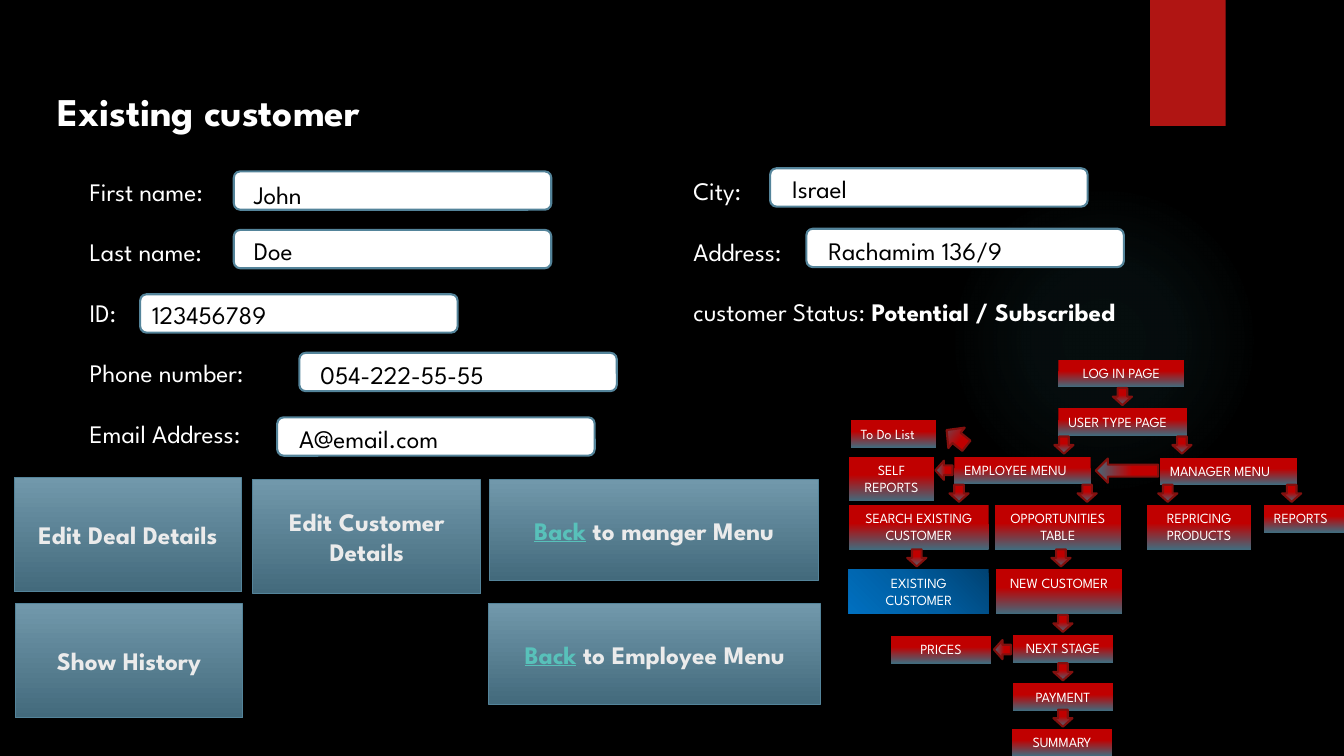
import pptx
import pptx.util
import pptx.dml.color
import pptx.enum.shapes
import pptx.enum.text
import pptx.oxml
import pptx.oxml.ns

Pt = pptx.util.Pt
SHAPE = pptx.enum.shapes.MSO_SHAPE
ALIGN = pptx.enum.text.PP_ALIGN
ANCHOR = pptx.enum.text.MSO_ANCHOR

# Content: runs are (text, colour, bold, underlined); lengths in points
FONT = "League Spartan"
WHITE, BLACK, PALE, TEAL = "FFFFFF", "000000", "EBEBEB", "58C1BA"
STEEL_LINE, ARROW_LINE = "54849A", "82100E"
STEEL = [(0, "7198AB"), (100, "436A7C")]
RED = [(41, "C00000"), (100, "436A7C")]
BLUE = [(0, "004272"), (50, "005EA2"), (100, "0070C0")]
GLOW = [(0, "50B9C1", 7), (36, "50B9C1", 6), (69, "50B9C1", 0)]

LEFT_LABELS = ["First name:", "Last name:", "ID:", "Phone number:", "Email Address:"]
RIGHT_LABELS = ["City:", "Address:"]
STATUS = [("customer Status: ", WHITE, False, False),
          ("Potential / Subscribed", WHITE, True, False)]

# Value, field left and top, text left and top
FIELDS = [
    ("John", 167, 122.4, 174.2, 124.6),
    ("Doe", 167, 164.2, 174.2, 164.2),
    ("123456789", 100.1, 210.2, 101.5, 210.2),
    ("054-222-55-55", 213.8, 252, 221.8, 253.4),
    ("A@email.com", 198, 298.1, 206.6, 298.8),
    ("Israel", 550.1, 120.2, 558.7, 120.2),
    ("Rachamim 136/9", 576, 163.4, 584.6, 164.2),
]

# Link word, label, left, top, width, height
BUTTONS = [
    ("", "Edit Customer Details", 180.7, 342.7, 162.7, 81.4),
    ("", "Show History", 10.8, 431.3, 162.7, 81.4),
    ("", "Edit Deal Details", 10.1, 341.3, 162.7, 81.4),
    ("Back", " to manger Menu", 349.9, 342.7, 234.7, 72),
    ("Back", " to Employee Menu", 349.2, 431.3, 236.9, 72),
]

# Site map: label, left, top, width, number of lines, alignment
PAGES = [
    ("LOG IN PAGE", 756, 257, 90, 1, ALIGN.CENTER),
    ("USER TYPE PAGE", 756, 291.6, 92.2, 1, ALIGN.LEFT),
    ("To Do List", 607.7, 300.2, 61.2, 1, ALIGN.LEFT),
    ("SELF REPORTS", 606.2, 326.2, 61.2, 2, ALIGN.CENTER),
    ("EMPLOYEE MENU", 681.8, 326.2, 97.2, 1, ALIGN.LEFT),
    ("MANAGER MENU", 828.7, 326.9, 97.9, 1, ALIGN.LEFT),
    ("SEARCH EXISTING CUSTOMER", 606.2, 360.7, 100.1, 2, ALIGN.CENTER),
    ("OPPORTUNITIES TABLE", 710.6, 360.7, 90, 2, ALIGN.CENTER),
    ("REPRICING PRODUCTS", 819.4, 360.7, 74.2, 2, ALIGN.CENTER),
    ("REPORTS", 902.9, 360.7, 57.6, 1, ALIGN.LEFT),
    ("EXISTING CUSTOMER", 606.2, 406.8, 100.1, 2, ALIGN.CENTER),
    ("NEW CUSTOMER", 711.4, 406.8, 90, 2, ALIGN.CENTER),
    ("PRICES", 636.5, 454.3, 71.3, 1, ALIGN.CENTER),
    ("NEXT STAGE", 723.6, 453.6, 71.3, 1, ALIGN.CENTER),
    ("PAYMENT", 723.6, 488.2, 71.3, 1, ALIGN.CENTER),
    ("SUMMARY", 722.9, 520.6, 71.3, 1, ALIGN.CENTER),
]
CURRENT_PAGE = "EXISTING CUSTOMER"
PAGE_HEIGHT = {1: 19.4, 2: 31.7}

# Small arrows: left, top, rotation
SMALL_ARROWS = [
    (794.9, 277.2, 0), (753.1, 311.8, 0), (837.4, 311.8, 0),
    (827.3, 346.3, 0), (915.8, 346.3, 0), (769.7, 346.3, 0), (678.2, 346.3, 0),
    (751, 392.4, 0), (648, 392.4, 0), (752.4, 439.2, 0),
    (752.4, 506.9, 0), (752.4, 473.8, 0), (667.4, 329.8, 90), (709.2, 457.9, 90),
]
ARROWS = [(left, top, 13.7, 12.2, turn) for left, top, turn in SMALL_ARROWS]
ARROWS += [(796.3, 313.9, 17.3, 44.6, 90), (673.9, 303.8, 18.7, 18, 128.6)]


def colour(value):
    return pptx.dml.color.RGBColor.from_string(value)


def gradient(shape, stops, angle=None):
    """Linear at the given angle, or circular from the centre without one."""
    marks = ""
    for position, value, *alpha in stops:
        opacity = f'<a:alpha val="{alpha[0] * 1000}"/>' if alpha else ""
        marks += (f'<a:gs pos="{position * 1000}">'
                  f'<a:srgbClr val="{value}">{opacity}</a:srgbClr></a:gs>')
    if angle is None:
        course = ('<a:path path="circle"><a:fillToRect l="50000" t="50000" '
                  'r="50000" b="50000"/></a:path>')
    else:
        course = f'<a:lin ang="{angle * 60000}" scaled="0"/>'
    fill = pptx.oxml.parse_xml(
        f'<a:gradFill {pptx.oxml.ns.nsdecls("a")} rotWithShape="1">'
        f'<a:gsLst>{marks}</a:gsLst>{course}</a:gradFill>')
    properties = shape.element.spPr
    properties.find(pptx.oxml.ns.qn("a:prstGeom")).addnext(fill)


def add_block(page, kind, frame, fill, angle=None, line=None, weight=1.5):
    shape = page.shapes.add_shape(kind, *[Pt(length) for length in frame])
    shape.shadow.inherit = False
    if isinstance(fill, str):
        shape.fill.solid()
        shape.fill.fore_color.rgb = colour(fill)
    else:
        gradient(shape, fill, angle)
    if line:
        shape.line.color.rgb = colour(line)
        shape.line.width = Pt(weight)
    else:
        shape.line.fill.background()
    return shape


def write(shape, paragraphs, size, align=ALIGN.LEFT, anchor=ANCHOR.TOP, gap=0):
    frame = shape.text_frame
    frame.word_wrap = True
    frame.vertical_anchor = anchor
    for index, runs in enumerate(paragraphs):
        para = frame.add_paragraph() if index else frame.paragraphs[0]
        para.alignment = align
        para.space_before = Pt(gap if index else 0)
        para.font.size = Pt(size)
        para.font.name = FONT
        for text, ink, bold, underlined in runs:
            span = para.add_run()
            span.text = text
            span.font.size = Pt(size)
            span.font.name = FONT
            span.font.bold = bold
            span.font.underline = underlined
            span.font.color.rgb = colour(ink)


def add_text(page, frame, paragraphs, size=18, gap=0):
    box = page.shapes.add_textbox(*[Pt(length) for length in frame])
    write(box, paragraphs, size, gap=gap)


def plain(text, ink=WHITE, bold=False):
    return [(text, ink, bold, False)]


def main():
    deck = pptx.Presentation()
    deck.slide_width, deck.slide_height = Pt(960), Pt(540)
    page = deck.slides.add_slide(deck.slide_layouts[6])
    page.background.fill.solid()
    page.background.fill.fore_color.rgb = colour(BLACK)

    # Backdrop and title
    add_block(page, SHAPE.OVAL, (677.5, 131.8, 221.8, 221.8), GLOW)
    add_block(page, SHAPE.RECTANGLE, (821.5, 0, 54, 90), "B01513")
    add_text(page, (33.8, 59, 320.4, 41), [plain("Existing customer", bold=True)], 28)

    # Customer form
    add_text(page, (56.9, 122.4, 429.1, 225.4),
             [plain(label) for label in LEFT_LABELS], gap=21.6)
    add_text(page, (488.2, 121.7, 429.1, 116.6),
             [plain(label) for label in RIGHT_LABELS] + [STATUS], gap=21.6)
    for value, left, top, text_left, text_top in FIELDS:
        add_block(page, SHAPE.ROUNDED_RECTANGLE, (left, top, 226.8, 27.4),
                  WHITE, line=STEEL_LINE)
        add_text(page, (text_left, text_top, 210.2, 28.8), [plain(value, BLACK)])

    # Buttons
    for link, label, *frame in BUTTONS:
        button = add_block(page, SHAPE.RECTANGLE, frame, STEEL, 90, STEEL_LINE, 0.75)
        runs = [(link, TEAL, True, True)] if link else []
        write(button, [runs + plain(label, PALE, True)], 18, ALIGN.CENTER, ANCHOR.MIDDLE)

    # Site map
    for label, left, top, width, lines, align in PAGES:
        fill, angle = (BLUE, 135) if label == CURRENT_PAGE else (RED, 90)
        node = add_block(page, SHAPE.RECTANGLE,
                         (left, top, width, PAGE_HEIGHT[lines]), fill, angle)
        write(node, [plain(label)], 10, align)
    for *frame, turn in ARROWS:
        arrow = add_block(page, SHAPE.DOWN_ARROW, frame, RED, 90, ARROW_LINE)
        arrow.rotation = turn

    deck.save("out.pptx")


if __name__ == "__main__":
    main()
